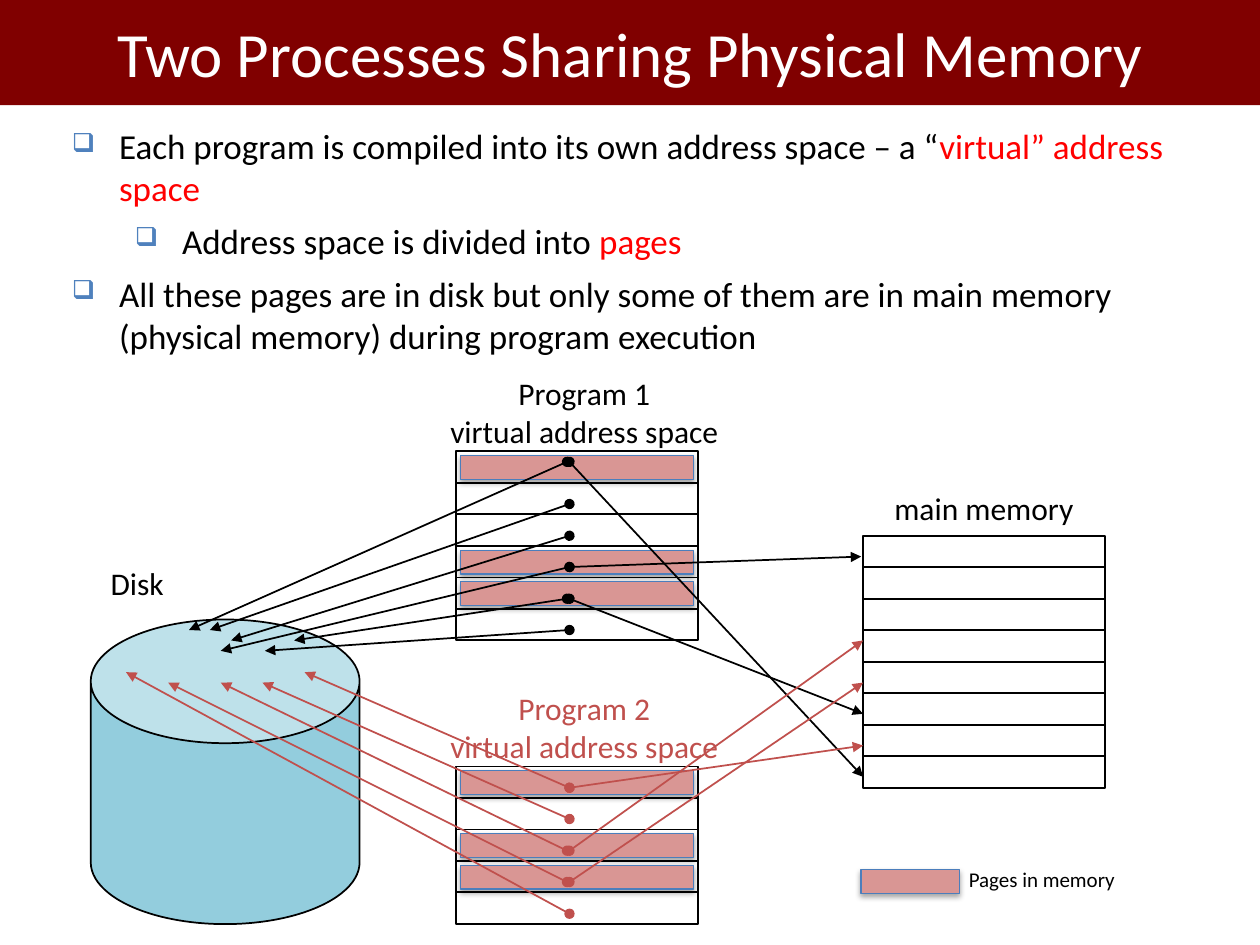
from dataclasses import dataclass

from lxml import etree
from pptx import Presentation
from pptx.dml.color import RGBColor
from pptx.enum.shapes import MSO_CONNECTOR, MSO_SHAPE
from pptx.enum.text import MSO_ANCHOR, PP_ALIGN
from pptx.oxml.ns import qn
from pptx.util import Cm, Pt

RECTANGLE, CAN = MSO_SHAPE.RECTANGLE, MSO_SHAPE.CAN
STRAIGHT = MSO_CONNECTOR.STRAIGHT
LEFT, CENTER = PP_ALIGN.LEFT, PP_ALIGN.CENTER
TOP, MIDDLE = MSO_ANCHOR.TOP, MSO_ANCHOR.MIDDLE


@dataclass(frozen=True)
class Theme:
    font: str = "Calibri"
    title_size: int = 36
    body_size: int = 20
    label_size: int = 18
    legend_size: int = 12
    line_width: float = 1
    page_line_width: float = 0.75
    banner: str = "800000"
    white: str = "FFFFFF"
    ink: str = "000000"
    highlight: str = "FF0000"
    bullet: str = "4F81BD"
    program_2: str = "C0504D"
    page: str = "D99694"
    page_line: str = "4B7EBC"
    disk: str = "93CDDD"


THEME = Theme()

# Lengths in centimetres
ROW = 2.54 / 4
STACK_WIDTH = 4.88
PROGRAM_LEFT = 9.19
MEMORY_LEFT, MEMORY_TOP, MEMORY_ROWS = 17.4, 10.8, 8
PAGE_INSET = 0.09
PAGE_HEIGHT = 0.48

# Each arrow: start x, start y, tip x, tip y
PROGRAMS = [
    {
        "name": "Program 1", "top": 9.1, "rows": 6, "loaded": [0, 3, 4], "color": THEME.ink,
        "arrows": [
            (11.48, 9.31, 17.4, 15.66),
            (11.48, 12.07, 17.4, 14.39),
            (11.48, 11.43, 17.36, 11.22),
            (11.43, 9.31, 3.81, 12.7),
            (11.48, 10.16, 4.23, 12.7),
            (11.48, 10.8, 4.66, 12.91),
            (11.48, 11.43, 4.45, 13.12),
            (11.43, 12.07, 5.93, 12.91),
            (11.48, 12.7, 5.34, 13.12),
        ],
    },
    {
        "name": "Program 2", "top": 15.45, "rows": 5, "loaded": [0, 2, 3], "color": THEME.program_2,
        "arrows": [
            (11.48, 15.88, 17.4, 15.03),
            (11.48, 17.78, 17.4, 13.76),
            (11.48, 17.15, 17.4, 12.91),
            (11.48, 15.88, 6.14, 13.55),
            (11.48, 16.51, 5.29, 13.76),
            (11.43, 17.15, 4.45, 13.76),
            (11.43, 17.78, 3.39, 13.76),
            (11.48, 18.42, 2.54, 13.55),
        ],
    },
]

# Each bullet: left indent, runs of text and colour
BULLETS = [
    (0.95, [("Each program is compiled into its own address space – a “", THEME.ink),
            ("virtual” address space", THEME.highlight)]),
    (2.22, [("Address space is divided into ", THEME.ink), ("pages", THEME.highlight)]),
    (0.95, [("All these pages are in disk but only some of them are in main memory "
             "(physical memory) during program execution", THEME.ink)]),
]


def rgb(color):
    return RGBColor.from_string(color)


def apply_format(target, values):
    for name, value in values.items():
        setattr(target, name, value)


def add_xml(parent, tag, **attributes):
    return etree.SubElement(parent, qn(tag), attributes)


class SlideBuilder:
    def __init__(self, slide, theme):
        self.slide = slide
        self.theme = theme

    def shape(self, kind, box, fill=None, line=None, width=None):
        shape = self.slide.shapes.add_shape(kind, *map(Cm, box))
        shape.shadow.inherit = False
        if fill:
            shape.fill.solid()
            shape.fill.fore_color.rgb = rgb(fill)
        else:
            shape.fill.background()
        if line:
            shape.line.color.rgb = rgb(line)
            shape.line.width = Pt(width or self.theme.line_width)
        else:
            shape.line.fill.background()
        return shape

    def line(self, start_x, start_y, end_x, end_y, color, arrow=False):
        line = self.slide.shapes.add_connector(
            STRAIGHT, Cm(start_x), Cm(start_y), Cm(end_x), Cm(end_y))
        line.line.color.rgb = rgb(color)
        line.line.width = Pt(self.theme.line_width)
        if arrow:
            outline = line.line._get_or_add_ln()
            add_xml(outline, "a:headEnd", type="oval")
            add_xml(outline, "a:tailEnd", type="triangle")
        add_xml(line._element.spPr, "a:effectLst")

    def page(self, left, top, width):
        """Draw a shadowed page that is held in main memory."""
        page = self.shape(RECTANGLE, (left, top, width, PAGE_HEIGHT), self.theme.page,
                          self.theme.page_line, self.theme.page_line_width)
        effects = page._element.spPr.find(qn("a:effectLst"))
        shadow = add_xml(effects, "a:outerShdw", blurRad="40000", dist="23000",
                         dir="5400000", rotWithShape="0")
        color = add_xml(shadow, "a:srgbClr", val=self.theme.ink)
        add_xml(color, "a:alpha", val="35000")

    def stack(self, left, top, rows):
        self.shape(RECTANGLE, (left, top, STACK_WIDTH, rows * ROW), line=self.theme.ink)
        for row in range(1, rows):
            y = top + row * ROW
            self.line(left, y, left + STACK_WIDTH, y, self.theme.ink)

    def run(self, paragraph, text, size, color):
        run = paragraph.add_run()
        run.text = text
        apply_format(run.font, {"name": self.theme.font, "size": Pt(size)})
        run.font.color.rgb = rgb(color)

    def title(self, text, box):
        banner = self.shape(RECTANGLE, box, self.theme.banner)
        banner.text_frame.vertical_anchor = MIDDLE
        paragraph = banner.text_frame.paragraphs[0]
        paragraph.alignment = CENTER
        self.run(paragraph, text, self.theme.title_size, self.theme.white)

    def label(self, lines, box, size, color, alignment=LEFT):
        frame = self.slide.shapes.add_textbox(*map(Cm, box)).text_frame
        apply_format(frame, {"word_wrap": False, "vertical_anchor": TOP})
        for index, text in enumerate(lines):
            paragraph = frame.add_paragraph() if index else frame.paragraphs[0]
            paragraph.alignment = alignment
            self.run(paragraph, text, size, color)

    def bullets(self, items, box):
        frame = self.slide.shapes.add_textbox(*map(Cm, box)).text_frame
        apply_format(frame, {"word_wrap": True, "margin_left": Cm(0.18), "margin_right": Cm(0.18),
                             "margin_top": Cm(0.08), "margin_bottom": Cm(0.08)})
        for index, (indent, runs) in enumerate(items):
            paragraph = frame.add_paragraph() if index else frame.paragraphs[0]
            if index:
                paragraph.space_before = Pt(6)
            properties = paragraph._p.get_or_add_pPr()
            properties.set("marL", str(Cm(indent)))
            properties.set("indent", str(-Cm(0.95)))
            add_xml(add_xml(properties, "a:buClr"), "a:srgbClr", val=self.theme.bullet)
            add_xml(properties, "a:buSzPct", val="75000")
            add_xml(properties, "a:buChar", char="❑")
            for text, color in runs:
                self.run(paragraph, text, self.theme.body_size, color)


def main():
    deck = Presentation()
    deck.slide_width, deck.slide_height = Cm(25.4), Cm(19.05)
    builder = SlideBuilder(deck.slides.add_slide(deck.slide_layouts[6]), THEME)

    builder.title("Two Processes Sharing Physical Memory", (0, 0, 25.4, 2.12))
    builder.bullets(BULLETS, (1.27, 2.44, 22.66, 5.92))

    disk = builder.shape(CAN, (1.83, 12.49, 5.42, 6.14), THEME.disk, THEME.ink)
    disk.adjustments[0] = 0.46
    builder.label(["Disk"], (1.98, 11.25, 1.6, 1.02), THEME.label_size, THEME.ink)

    builder.stack(MEMORY_LEFT, MEMORY_TOP, MEMORY_ROWS)
    builder.label(["main memory"], (17.78, 9.74, 4.37, 1.02), THEME.label_size, THEME.ink)

    for program in PROGRAMS:
        top = program["top"]
        for row in program["loaded"]:
            builder.page(PROGRAM_LEFT + PAGE_INSET, top + row * ROW + PAGE_INSET,
                         STACK_WIDTH - 2 * PAGE_INSET)
        builder.stack(PROGRAM_LEFT, top, program["rows"])
        builder.label([program["name"], "virtual address space"], (8.53, top - 1.69, 6.5, 1.78),
                      THEME.label_size, program["color"], CENTER)
        for arrow in program["arrows"]:
            builder.line(*arrow, program["color"], arrow=True)

    builder.page(17.36, 17.53, 1.98)
    builder.label(["Pages in memory"], (19.28, 17.35, 3.5, 0.76), THEME.legend_size, THEME.ink)
    deck.save("out.pptx")


if __name__ == "__main__":
    main()
